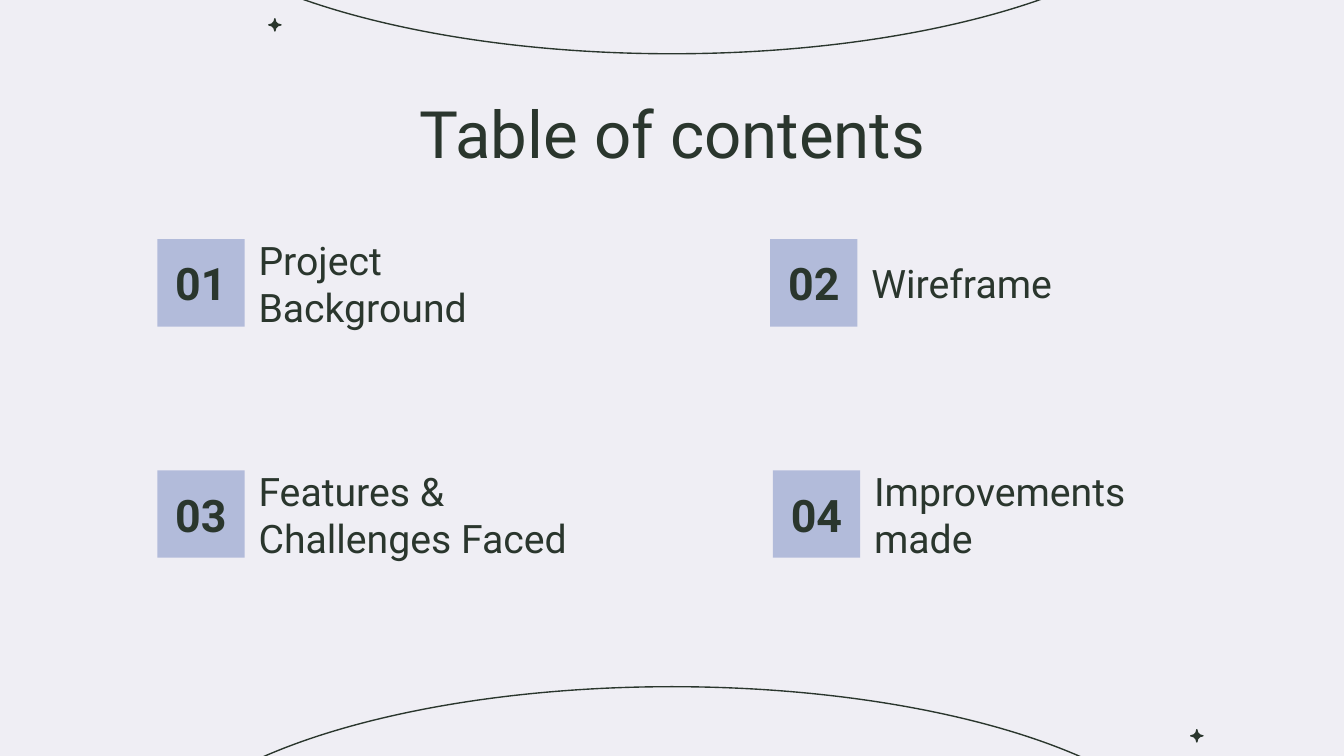
from dataclasses import dataclass
from pptx import Presentation
from pptx.dml.color import RGBColor
from pptx.enum.shapes import MSO_SHAPE
from pptx.enum.text import MSO_ANCHOR, MSO_AUTO_SIZE, PP_ALIGN
from pptx.util import Emu, Pt

PX = 4572  # 200 px to the inch


@dataclass(frozen=True)
class Theme:
    back: RGBColor = RGBColor(0xEF, 0xEE, 0xF4)
    ink: RGBColor = RGBColor(0x2A, 0x36, 0x2D)
    tile: RGBColor = RGBColor(0xB2, 0xBB, 0xDA)
    font: str = "Roboto"
    head: int = 35
    num: int = 24
    label: int = 21
    line: float = 0.75
    inset: int = 20


@dataclass(frozen=True)
class Box:
    x: int
    y: int
    w: int
    h: int

    def emu(self) -> tuple[Emu, ...]:
        return tuple(Emu(n * PX) for n in (self.x, self.y, self.w, self.h))


@dataclass(frozen=True)
class Entry:
    num: str
    label: str
    x: int
    y: int
    wide: int


THEME = Theme()
SIDE = 130  # number tile
TOP, LOW = 356, 700  # rows
ENTRIES = (
    Entry("01", "Project Background", 234, TOP, 424),
    Entry("02", "Wireframe", 1146, TOP, 424),
    Entry("03", "Features & Challenges Faced", 234, LOW, 538),
    Entry("04", "Improvements made", 1150, LOW, 484),
)
ARCS = (Box(210, -496, 1580, 576), Box(210, 1022, 1580, 576))
STARS = (Box(400, 28, 18, 18), Box(1772, 1086, 18, 18))


def write(shape, text: str, size: int, align=PP_ALIGN.LEFT,
          anchor=MSO_ANCHOR.MIDDLE, bold: bool = False) -> None:
    frame = shape.text_frame
    frame.word_wrap = True
    frame.auto_size = MSO_AUTO_SIZE.NONE
    frame.vertical_anchor = anchor
    frame.margin_left = frame.margin_right = Emu(THEME.inset * PX)
    frame.margin_top = frame.margin_bottom = Emu(THEME.inset * PX)
    para = frame.paragraphs[0]
    para.alignment = align
    run = para.add_run()
    run.text = text
    font = run.font
    font.name, font.size, font.bold = THEME.font, Pt(size), bold
    font.color.rgb = THEME.ink


def draw(slide, kind: MSO_SHAPE, box: Box, fill: RGBColor | None = None,
         edge: bool = True):
    shape = slide.shapes.add_shape(kind, *box.emu())
    shape.shadow.inherit = False
    if fill is None:
        shape.fill.background()
    else:
        shape.fill.solid()
        shape.fill.fore_color.rgb = fill
    if edge:
        shape.line.color.rgb = THEME.ink
        shape.line.width = Pt(THEME.line)
    else:
        shape.line.fill.background()
    return shape


def add_entry(slide, entry: Entry) -> None:
    tile = draw(slide, MSO_SHAPE.RECTANGLE,
                Box(entry.x, entry.y, SIDE, SIDE), THEME.tile, edge=False)
    write(tile, entry.num, THEME.num, PP_ALIGN.CENTER, bold=True)
    box = Box(entry.x + SIDE + 1, entry.y, entry.wide, SIDE)
    write(slide.shapes.add_textbox(*box.emu()), entry.label, THEME.label)


def main() -> None:
    deck = Presentation()
    deck.slide_width, deck.slide_height = Emu(2000 * PX), Emu(1125 * PX)
    slide = deck.slides.add_slide(deck.slide_layouts.get_by_name("Title Only"))
    slide.background.fill.solid()
    slide.background.fill.fore_color.rgb = THEME.back

    # Arcs and stars at the edges
    for box in ARCS:
        draw(slide, MSO_SHAPE.OVAL, box)
    for box in STARS:
        star = draw(slide, MSO_SHAPE.PLAQUE, box, THEME.ink)
        star.adjustments[0] = 0.5

    # Title
    title = slide.shapes.title
    title.left, title.top, title.width, title.height = Box(158, 118, 1686, 126).emu()
    write(title, "Table of contents", THEME.head, PP_ALIGN.CENTER, MSO_ANCHOR.TOP)

    # Numbered contents
    for entry in ENTRIES:
        add_entry(slide, entry)

    deck.save("out.pptx")


if __name__ == "__main__":
    main()
